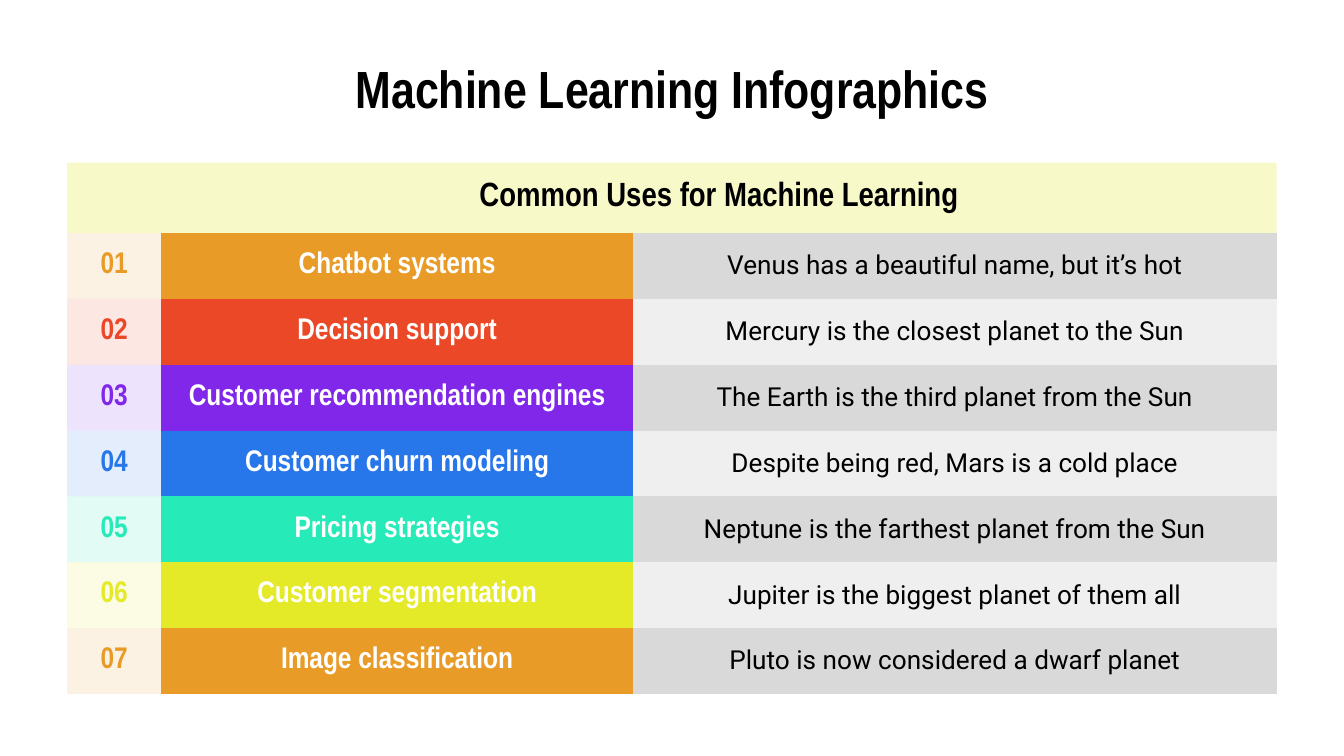
from lxml import etree
from pptx import Presentation
from pptx import util as u
from pptx.dml.color import RGBColor
from pptx.enum import text
from pptx.oxml import ns

SCALE = 4572
HEAD, BODY = "Arial Narrow", "Roboto"
NO_STYLE = "{2D5ABB26-0587-4C30-8999-92F81FD0307C}"
COLORS = {
    "black": "000000", "white": "FFFFFF", "orange": "E99B27", "red": "EA4827",
    "purple": "8027EA", "blue": "2776EA", "teal": "26EAB8", "yellow": "E4EA27",
    "gray": "D9D9D9", "light": "EFEFEF",
}
USES = [
    ("orange", "Chatbot systems", "Venus has a beautiful name, but it’s hot"),
    ("red", "Decision support", "Mercury is the closest planet to the Sun"),
    ("purple", "Customer recommendation engines", "The Earth is the third planet from the Sun"),
    ("blue", "Customer churn modeling", "Despite being red, Mars is a cold place"),
    ("teal", "Pricing strategies", "Neptune is the farthest planet from the Sun"),
    ("yellow", "Customer segmentation", "Jupiter is the biggest planet of them all"),
    ("orange", "Image classification", "Pluto is now considered a dwarf planet"),
]


def px(n):
    """Turn px into EMU."""
    return u.Emu(n * SCALE)


def rgb(name):
    """Look up a named colour."""
    return RGBColor.from_string(COLORS[name])


def write(tf, words, size=16, font=HEAD, color="black", bold=True):
    """Put one centred, formatted line in a text frame."""
    p = tf.paragraphs[0]
    p.alignment = text.PP_ALIGN.CENTER
    r = p.add_run()
    r.text = words
    r.font.size = u.Pt(size)
    r.font.name = font
    r.font.bold = bold
    r.font.color.rgb = rgb(color)


def paint(cell, color, alpha=100):
    """Fill a table cell, set its margins and centre it vertically."""
    cell.fill.solid()
    cell.fill.fore_color.rgb = rgb(color)
    cell.vertical_anchor = text.MSO_ANCHOR.MIDDLE
    cell.margin_left = cell.margin_right = px(20)
    cell.margin_top = cell.margin_bottom = px(20)
    if alpha < 100:
        clr = next(cell._tc.tcPr.iter(ns.qn("a:srgbClr")))
        etree.SubElement(clr, ns.qn("a:alpha")).set("val", str(alpha * 1000))


def add_title(s, x, y, w, h):
    """Place the slide title in its box."""
    tf = s.shapes.add_textbox(px(x), px(y), px(w), px(h)).text_frame
    tf.word_wrap = True
    tf.vertical_anchor = text.MSO_ANCHOR.MIDDLE
    tf.margin_left = tf.margin_right = tf.margin_top = tf.margin_bottom = px(20)
    write(tf, "Machine Learning Infographics", size=28)


def add_uses_table(s, x, y, w, h):
    """Place the numbered table of uses in its box."""
    row_h = h // (len(USES) + 1)
    header_h = h - row_h * len(USES)
    number_w, use_w = 140, 702
    tbl = s.shapes.add_table(len(USES) + 1, 3, px(x), px(y), px(w), px(h)).table
    tbl.first_row = tbl.horz_banding = False
    next(tbl._tbl.iter(ns.qn("a:tableStyleId"))).text = NO_STYLE
    for col, width in zip(tbl.columns, (number_w, use_w, w - number_w - use_w)):
        col.width = px(width)
    for i, row in enumerate(tbl.rows):
        row.height = px(row_h if i else header_h)

    tbl.cell(0, 1).merge(tbl.cell(0, 2))
    for col in range(3):
        paint(tbl.cell(0, col), "yellow", alpha=25)
    write(tbl.cell(0, 1).text_frame, "Common Uses for Machine Learning", size=18)

    for i, (color, use, note) in enumerate(USES, 1):
        number_cell, use_cell, note_cell = (tbl.cell(i, col) for col in range(3))
        paint(number_cell, color, alpha=13)
        paint(use_cell, color)
        paint(note_cell, "gray" if i % 2 else "light")
        write(number_cell.text_frame, f"{i:02}", color=color)
        write(use_cell.text_frame, use, color="white")
        write(note_cell.text_frame, note, size=14, font=BODY, bold=False)


def main():
    """Build and save the slide."""
    prs = Presentation()
    prs.slide_width, prs.slide_height = px(2000), px(1125)
    s = prs.slides.add_slide(prs.slide_layouts[6])
    add_title(s, 100, 90, 1800, 82)
    add_uses_table(s, 100, 242, 1800, 791)
    prs.save("out.pptx")


if __name__ == "__main__":
    main()
